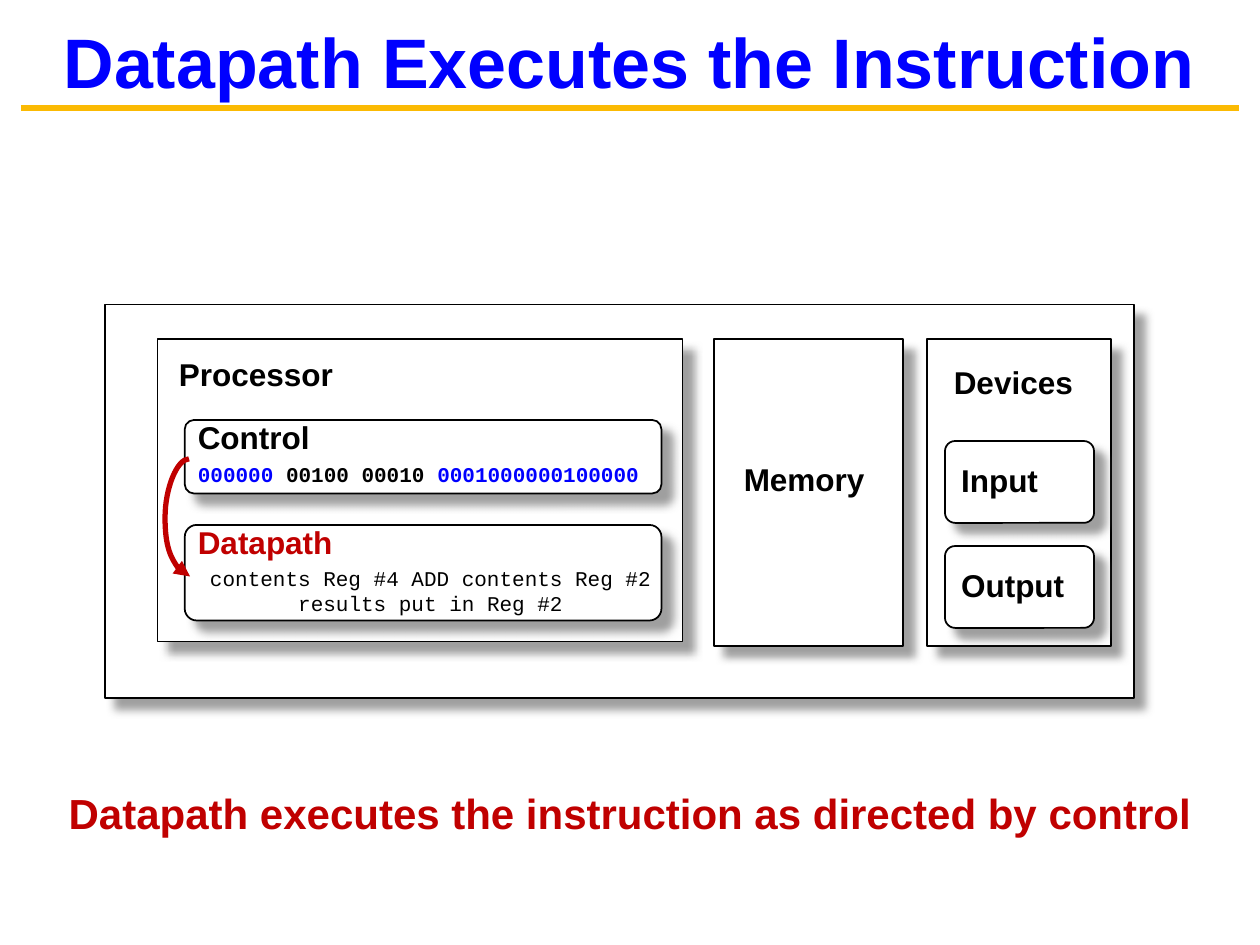
from dataclasses import dataclass

import lxml.etree
import pptx
import pptx.dml.color
import pptx.enum.shapes
import pptx.enum.text
import pptx.oxml
import pptx.oxml.ns
import pptx.util

Align = pptx.enum.text.PP_ALIGN
Geometry = pptx.enum.shapes.MSO_SHAPE
Connector = pptx.enum.shapes.MSO_CONNECTOR
qn = pptx.oxml.ns.qn

COLUMNS, ROWS = 120, 90
SLIDE_WIDTH, SLIDE_HEIGHT = pptx.util.Inches(10), pptx.util.Inches(7.5)


@dataclass(frozen=True)
class Theme:
    black: str = "000000"
    white: str = "FFFFFF"
    blue: str = "0000FF"
    red: str = "C00000"
    gold: str = "FBBA03"
    shadow: str = "808080"
    sans: str = "Arial"
    mono: str = "Courier New"
    title_size: float = 40
    caption_size: float = 24
    label_size: float = 18
    code_size: float = 12


THEME = Theme()


@dataclass(frozen=True)
class Area:
    """A place on the grid, in columns and rows."""
    column: float
    row: float
    width: float
    height: float

    def box(self) -> tuple:
        return across(self.column), down(self.row), across(self.width), down(self.height)


@dataclass(frozen=True)
class Block:
    area: Area
    rounded: bool = False


@dataclass(frozen=True)
class Label:
    text: str
    column: float
    row: float
    color: str = THEME.black


BLOCKS = [
    Block(Area(10, 29, 98, 37.5)),                  # computer
    Block(Area(15, 32.3, 50, 28.8)),                # processor
    Block(Area(68, 32.3, 18, 29.2)),                # memory
    Block(Area(88.3, 32.3, 17.5, 29.2)),            # devices
    Block(Area(17.6, 40, 45.4, 7), rounded=True),   # control
    Block(Area(17.6, 50, 45.4, 9.1), rounded=True), # datapath
    Block(Area(90, 42, 14.2, 7.8), rounded=True),   # input
    Block(Area(90, 52, 14.2, 7.8), rounded=True),   # output
]
LABELS = [
    Label("Processor", 16.2, 34),
    Label("Control", 18, 40),
    Label("Datapath", 18, 50, THEME.red),
    Label("Memory", 70, 44),
    Label("Devices", 90, 34.8),
    Label("Input", 90.7, 44.1),
    Label("Output", 90.7, 54.1),
]
INSTRUCTION = [
    ("000000", THEME.blue),
    (" 00100 00010 ", THEME.black),
    ("0001000000100000", THEME.blue),
]


def across(columns: float) -> int:
    return round(SLIDE_WIDTH * columns / COLUMNS)


def down(rows: float) -> int:
    return round(SLIDE_HEIGHT * rows / ROWS)


def rgb(color: str) -> pptx.dml.color.RGBColor:
    return pptx.dml.color.RGBColor.from_string(color)


def set_font(font, name: str, size: float, color: str, bold: bool = True) -> None:
    font.name, font.size, font.bold = name, pptx.util.Pt(size), bold
    font.color.rgb = rgb(color)


def set_frame(frame) -> None:
    frame.word_wrap = True
    frame.auto_size = pptx.enum.text.MSO_AUTO_SIZE.NONE
    frame.margin_left = frame.margin_right = pptx.util.Inches(0.07)
    frame.margin_top = frame.margin_bottom = pptx.util.Inches(0.03)


def add_text_frame(slide, area: Area):
    frame = slide.shapes.add_textbox(*area.box()).text_frame
    set_frame(frame)
    return frame


def add_heading(slide, area: Area, text: str, size: float, color: str, align=Align.LEFT) -> None:
    paragraph = add_text_frame(slide, area).paragraphs[0]
    paragraph.text = text
    paragraph.alignment, paragraph.line_spacing = align, 0.85
    set_font(paragraph.font, THEME.sans, size, color)


def add_block(slide, block: Block) -> None:
    geometry = Geometry.ROUNDED_RECTANGLE if block.rounded else Geometry.RECTANGLE
    shape = slide.shapes.add_shape(geometry, *block.area.box())
    if block.rounded:
        shape.adjustments[0] = 0.125
    shape.fill.solid()
    shape.fill.fore_color.rgb = rgb(THEME.white)
    shape.line.color.rgb = rgb(THEME.black)
    shape.line.width = pptx.util.Pt(1)
    shape.shadow.inherit = False
    effects = shape._element.spPr.find(qn("a:effectLst"))
    shadow = lxml.etree.SubElement(
        effects, qn("a:outerShdw"), blurRad=str(pptx.util.Pt(5)),
        dist=str(pptx.util.Pt(8.5)), dir="2700000", algn="ctr", rotWithShape="0")
    color = lxml.etree.SubElement(shadow, qn("a:srgbClr"), val=THEME.shadow)
    lxml.etree.SubElement(color, qn("a:alpha"), val="75000")


def add_line(slide, kind, start: tuple, end: tuple, color: str, width: float):
    line = slide.shapes.add_connector(
        kind, across(start[0]), down(start[1]), across(end[0]), down(end[1]))
    line.line.color.rgb = rgb(color)
    line.line.width = pptx.util.Pt(width)
    lxml.etree.SubElement(line._element.spPr, qn("a:effectLst"))
    return line


def add_control_arrow(slide) -> None:
    """Curve from control to datapath, bulging out to the left of both."""
    width, bulge = 0.1, 2.3
    arrow = add_line(slide, Connector.CURVE, (18, 43.7), (18 + width, 54.9), THEME.red, 3)
    adjustments = arrow._element.spPr.find(qn("a:prstGeom")).get_or_add_avLst()
    lxml.etree.SubElement(adjustments, qn("a:gd"), name="adj1",
                          fmla=f"val {round(-bulge / width * 100000)}")
    lxml.etree.SubElement(arrow.line._get_or_add_ln(), qn("a:tailEnd"), type="triangle")


def add_title(slide) -> None:
    title = slide.shapes.title
    title.left, title.top, title.width, title.height = Area(2, 1.4, 115.8, 8.8).box()
    set_frame(title.text_frame)
    title.text_frame.vertical_anchor = pptx.enum.text.MSO_ANCHOR.MIDDLE
    paragraph = title.text_frame.paragraphs[0]
    paragraph.text = "Datapath Executes the Instruction"
    paragraph.alignment = Align.CENTER
    set_font(paragraph.font, THEME.sans, THEME.title_size, THEME.blue)
    add_line(slide, Connector.STRAIGHT, (2, 10.3), (118, 10.3), THEME.gold, 3.75)


def add_code(slide) -> None:
    paragraph = add_text_frame(slide, Area(18, 43.6, 46, 3)).paragraphs[0]
    for text, color in INSTRUCTION:
        run = paragraph.add_run()
        run.text = text
        set_font(run.font, THEME.mono, THEME.code_size, color)

    frame = add_text_frame(slide, Area(18, 53.5, 46, 5.4))
    frame.text = "contents Reg #4 ADD contents Reg #2\nresults put in Reg #2"
    for paragraph in frame.paragraphs:
        paragraph.alignment = Align.CENTER
        set_font(paragraph.font, THEME.mono, THEME.code_size, THEME.black, bold=False)


def main() -> None:
    presentation = pptx.Presentation()
    presentation.slide_width, presentation.slide_height = SLIDE_WIDTH, SLIDE_HEIGHT
    slide = presentation.slides.add_slide(presentation.slide_layouts[5])
    add_title(slide)
    for block in BLOCKS:
        add_block(slide, block)
    for label in LABELS:
        add_heading(slide, Area(label.column, label.row, 17, 3.7),
                    label.text, THEME.label_size, label.color)
    add_code(slide)
    add_heading(slide, Area(0, 75.4, COLUMNS, 4.8),
                "Datapath executes the instruction as directed by control",
                THEME.caption_size, THEME.red, Align.CENTER)
    add_control_arrow(slide)
    presentation.save("out.pptx")


if __name__ == "__main__":
    main()
